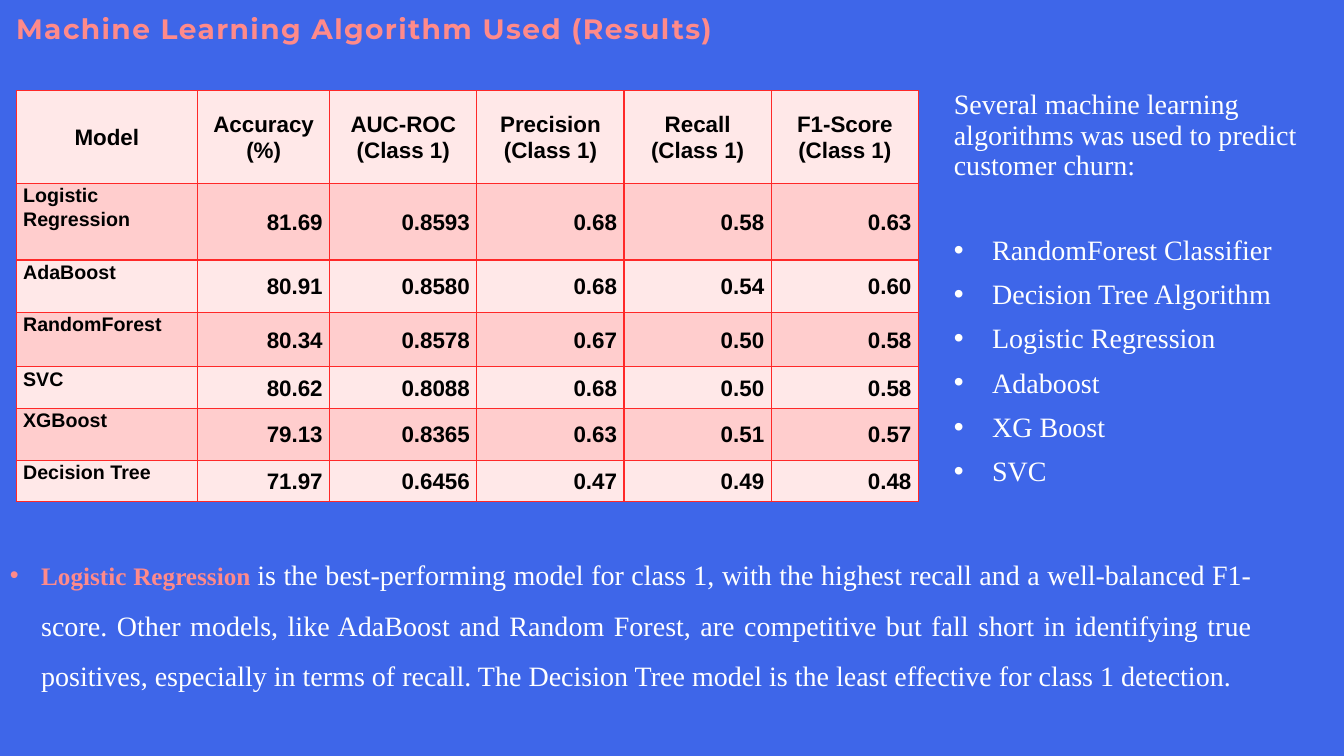
from dataclasses import dataclass

from lxml import etree
from pptx import Presentation
from pptx.dml.color import RGBColor
from pptx.enum.text import MSO_ANCHOR, PP_ALIGN
from pptx.oxml import ns
from pptx.util import Inches, Pt


@dataclass(frozen=True)
class Theme:
    background: str = "3E66E9"
    accent: str = "FF8A8A"
    light: str = "FFFFFF"
    dark: str = "000000"
    border: str = "FF2828"
    bands: tuple = ("FFE8E8", "FFCDCD")
    title_font: str = "Montserrat"
    body_font: str = "Times New Roman"
    table_font: str = "Arial"
    body_size: int = 20
    lead_size: int = 18
    value_size: int = 16
    model_size: int = 14


THEME = Theme()

COLUMN_WIDTHS = [1.8, 1.31] + [1.46] * 4
ROW_HEIGHTS = [0.92, 0.76, 0.52, 0.54, 0.41, 0.52, 0.41]
RESULTS = [
    ("Model", "Accuracy (%)", "AUC-ROC (Class 1)", "Precision (Class 1)",
     "Recall (Class 1)", "F1-Score (Class 1)"),
    ("Logistic Regression", "81.69", "0.8593", "0.68", "0.58", "0.63"),
    ("AdaBoost", "80.91", "0.8580", "0.68", "0.54", "0.60"),
    ("RandomForest", "80.34", "0.8578", "0.67", "0.50", "0.58"),
    ("SVC", "80.62", "0.8088", "0.68", "0.50", "0.58"),
    ("XGBoost", "79.13", "0.8365", "0.63", "0.51", "0.57"),
    ("Decision Tree", "71.97", "0.6456", "0.47", "0.49", "0.48"),
]
ALGORITHMS = ["RandomForest Classifier", "Decision Tree Algorithm",
              "Logistic Regression", "Adaboost", "XG Boost", "SVC"]
CONCLUSION = (
    "is the best-performing model for class 1, with the highest recall and a "
    "well-balanced F1-score. Other models, like AdaBoost and Random Forest, are "
    "competitive but fall short in identifying true positives, especially in terms "
    "of recall. The Decision Tree model is the least effective for class 1 detection."
)


def add_text_box(s, left, top, width, height, inset=(0, 0)):
    tf = s.shapes.add_textbox(*map(Inches, (left, top, width, height))).text_frame
    tf.word_wrap = True
    tf.margin_left = tf.margin_right = Inches(inset[0])
    tf.margin_top = tf.margin_bottom = Inches(inset[1])
    return tf


def add_run(p, text, size, font, color, bold=False):
    r = p.add_run()
    r.text = text
    r.font.size = Pt(size)
    r.font.name = font
    r.font.bold = bold
    r.font.color.rgb = RGBColor.from_string(color)
    return r


def set_bullet(p, indent):
    """Give the paragraph a round bullet with a hanging indent in inches."""
    pPr = p._p.get_or_add_pPr()
    pPr.set("marL", str(Inches(indent)))
    pPr.set("indent", str(-Inches(indent)))
    etree.SubElement(pPr, ns.qn("a:buFont"), typeface="Arial")
    etree.SubElement(pPr, ns.qn("a:buChar"), char="•")


def set_borders(cell, color, width):
    tcPr = cell._tc.get_or_add_tcPr()
    for side in ("lnL", "lnR", "lnT", "lnB"):
        line = etree.SubElement(tcPr, ns.qn(f"a:{side}"), w=str(Pt(width)))
        fill = etree.SubElement(line, ns.qn("a:solidFill"))
        etree.SubElement(fill, ns.qn("a:srgbClr"), val=color)


def fill_cell(cell, text, size, align, anchor, color):
    set_borders(cell, THEME.border, 1)
    cell.fill.solid()
    cell.fill.fore_color.rgb = RGBColor.from_string(color)
    cell.margin_left = cell.margin_right = Inches(0.07)
    cell.margin_top = cell.margin_bottom = 0
    cell.vertical_anchor = anchor
    p = cell.text_frame.paragraphs[0]
    p.alignment = align
    p.line_spacing = 1.07
    p.space_after = Pt(8)
    add_run(p, text, size, THEME.table_font, THEME.dark, bold=True)


def add_title(s):
    p = add_text_box(s, 0.16, 0.15, 7.43, 0.3).paragraphs[0]
    p.line_spacing = 0.9
    r = add_run(p, "Machine Learning Algorithm Used (Results)", THEME.body_size,
                THEME.title_font, THEME.accent, bold=True)
    r._r.get_or_add_rPr().set("spc", "100")


def add_results_table(s):
    frame = s.shapes.add_table(
        len(RESULTS), len(COLUMN_WIDTHS), Inches(0.16), Inches(0.9),
        Inches(sum(COLUMN_WIDTHS)), Inches(sum(ROW_HEIGHTS)))
    table = frame.table
    table.horz_banding = False
    for column, width in zip(table.columns, COLUMN_WIDTHS):
        column.width = Inches(width)
    for i, (row, height) in enumerate(zip(table.rows, ROW_HEIGHTS)):
        row.height = Inches(height)
        for j, (cell, text) in enumerate(zip(row.cells, RESULTS[i])):
            if i == 0:
                style = THEME.value_size, PP_ALIGN.CENTER, MSO_ANCHOR.MIDDLE
            elif j == 0:
                style = THEME.model_size, PP_ALIGN.LEFT, MSO_ANCHOR.TOP
            else:
                style = THEME.value_size, PP_ALIGN.RIGHT, MSO_ANCHOR.MIDDLE
            fill_cell(cell, text, *style, THEME.bands[i % 2])


def add_algorithm_list(s):
    tf = add_text_box(s, 9.46, 0.9, 3.42, 4.15)
    p = tf.paragraphs[0]
    p.line_spacing = 0.9
    add_run(p, "Several machine learning algorithms was used to predict customer churn:",
            THEME.body_size, THEME.body_font, THEME.light)
    for i, name in enumerate(ALGORITHMS):
        p = tf.add_paragraph()
        p.line_spacing = 0.9
        p.space_before = Pt(10 if i else 39)
        set_bullet(p, 0.38)
        add_run(p, name, THEME.body_size, THEME.body_font, THEME.light)


def add_conclusion(s):
    p = add_text_box(s, 0, 5.32, 12.52, 1.56, inset=(0.1, 0.05)).paragraphs[0]
    p.alignment = PP_ALIGN.JUSTIFY
    p.line_spacing = 1.5
    set_bullet(p, 0.31)
    add_run(p, "Logistic Regression ", THEME.lead_size, THEME.body_font,
            THEME.accent, bold=True)
    add_run(p, CONCLUSION, THEME.body_size, THEME.body_font, THEME.light)


def main():
    prs = Presentation()
    prs.slide_width, prs.slide_height = Inches(13.33), Inches(7.5)
    s = prs.slides.add_slide(prs.slide_layouts[6])
    s.background.fill.solid()
    s.background.fill.fore_color.rgb = RGBColor.from_string(THEME.background)
    add_title(s)
    add_algorithm_list(s)
    add_conclusion(s)
    add_results_table(s)
    prs.save("out.pptx")


if __name__ == "__main__":
    main()
